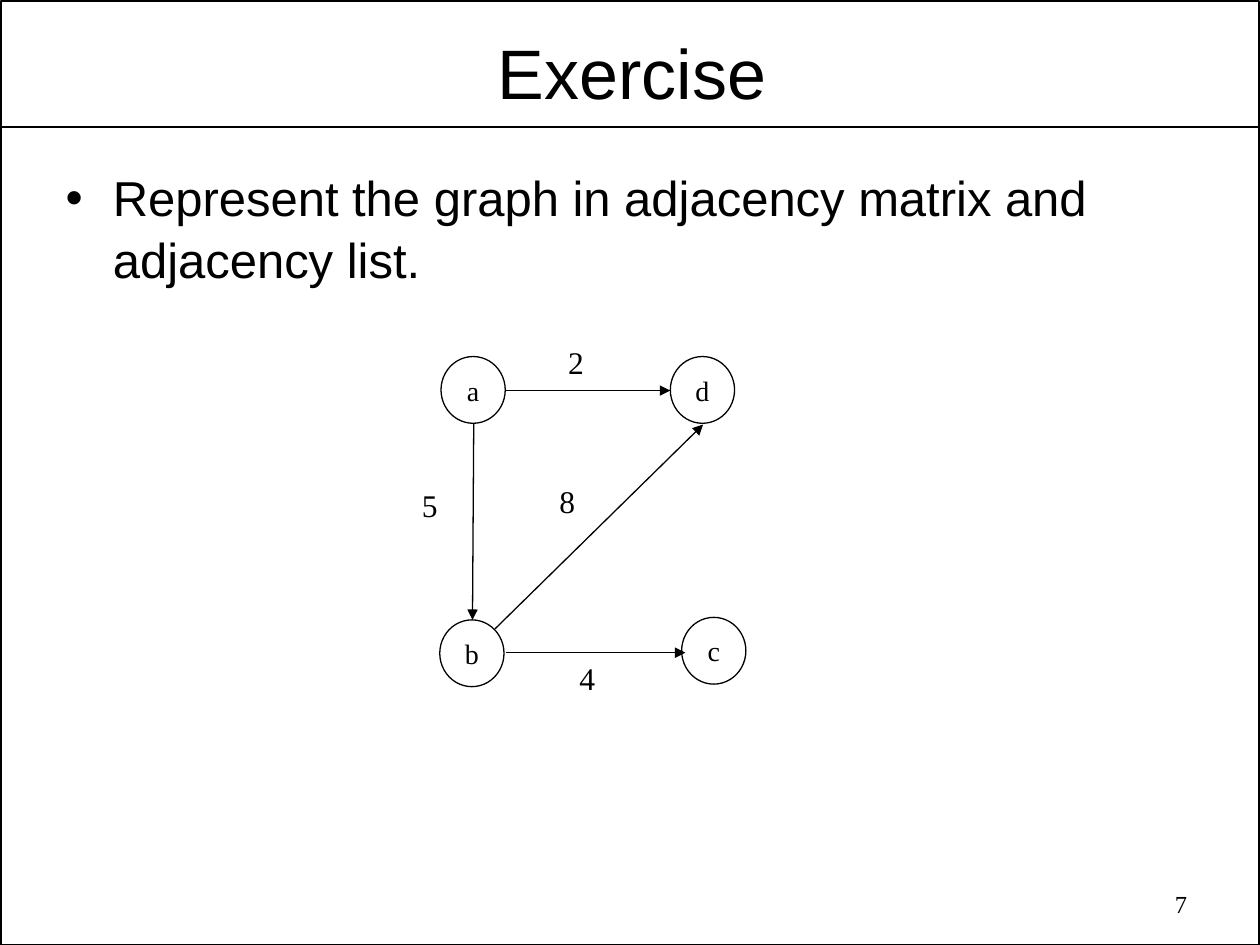
from lxml import etree
from pptx import Presentation
from pptx import util as u
from pptx.dml.color import RGBColor
from pptx.enum import shapes, text
from pptx.oxml import ns

COLORS = {"ink": "000000", "paper": "FFFFFF"}
SANS, SERIF = "Arial", "Times New Roman"
INK = RGBColor.from_string(COLORS["ink"])

NODE_W, NODE_H = 0.51, 0.53
# Node positions and edges are relative to the graph's box
NODES = {"a": (0.25, 0.16), "d": (2.07, 0.16), "b": (0.24, 2.25), "c": (2.16, 2.23)}
# weight, start, end, left and top of the weight label
EDGES = [
    ("5", (0.51, 0.69), (0.5, 2.25), (0, 1.14)),
    ("2", (0.76, 0.43), (2.07, 0.43), (1.16, 0)),
    ("8", (0.68, 2.32), (2.33, 0.7), (1.09, 1.11)),
    ("4", (0.77, 2.51), (2.19, 2.51), (1.25, 2.51)),
]


def place(s, x, y, w, h):
    box = {"left": x, "top": y, "width": w, "height": h}
    for name, value in box.items():
        setattr(s, name, u.Inches(value))


def write(s, words, size, font, align, wrap=True, anchor=text.MSO_ANCHOR.TOP,
          margins=(0.1, 0.05), spacing=1.0):
    tf = s.text_frame
    mx, my = (u.Inches(m) for m in margins)
    frame = {"word_wrap": wrap, "auto_size": text.MSO_AUTO_SIZE.NONE,
             "vertical_anchor": anchor, "margin_left": mx, "margin_right": mx,
             "margin_top": my, "margin_bottom": my}
    for name, value in frame.items():
        setattr(tf, name, value)
    p = tf.paragraphs[0]
    p.alignment, p.line_spacing, p.space_before = align, spacing, u.Pt(0)
    r = p.add_run()
    r.text = words
    r.font.size, r.font.name = u.Pt(size), font
    r.font.color.rgb = INK


def add_outline(slide, kind, x, y, w, h, weight):
    s = slide.shapes.add_shape(kind, *(u.Inches(v) for v in (x, y, w, h)))
    s.shadow.inherit = False
    s.fill.background()
    s.line.color.rgb, s.line.width = INK, u.Pt(weight)
    return s


def add_line(slide, start, end, weight, arrow=False):
    ends = (u.Inches(v) for v in (*start, *end))
    s = slide.shapes.add_connector(shapes.MSO_CONNECTOR.STRAIGHT, *ends)
    s.line.color.rgb, s.line.width = INK, u.Pt(weight)
    if arrow:
        etree.SubElement(s.line._get_or_add_ln(), ns.qn("a:tailEnd"), type="triangle")
    etree.SubElement(s._element.spPr, ns.qn("a:effectLst"))


def add_label(slide, words, size, x, y, w, h, align):
    s = slide.shapes.add_textbox(*(u.Inches(v) for v in (x, y, w, h)))
    write(s, words, size, SERIF, align)


def build_frame(slide, x, y, w, h):
    add_outline(slide, shapes.MSO_SHAPE.RECTANGLE, x, y, w, h, 1)
    add_line(slide, (x, y + 1), (x + w, y + 1), 1)


def build_title(slide, x, y, w, h):
    s = slide.shapes.title
    place(s, x, y, w, h)
    write(s, "Exercise", 40, SANS, text.PP_ALIGN.CENTER,
          anchor=text.MSO_ANCHOR.MIDDLE, margins=(0.07, 0.03), spacing=1.05)


def build_body(slide, x, y, w, h):
    s = slide.placeholders[1]
    place(s, x, y, w, h)
    write(s, "Represent the graph in adjacency matrix and adjacency list.",
          28, SANS, text.PP_ALIGN.LEFT, spacing=1.05)


def build_graph(slide, x, y):
    # Nodes
    for name, (dx, dy) in NODES.items():
        s = add_outline(slide, shapes.MSO_SHAPE.OVAL, x + dx, y + dy, NODE_W, NODE_H, 0.75)
        write(s, name, 16, SERIF, text.PP_ALIGN.CENTER, wrap=False,
              anchor=text.MSO_ANCHOR.MIDDLE, margins=(0, 0))
    # Weighted edges
    for weight, (x1, y1), (x2, y2), (dx, dy) in EDGES:
        add_line(slide, (x + x1, y + y1), (x + x2, y + y2), 0.75, arrow=True)
        add_label(slide, weight, 18, x + dx, y + dy, 0.32, 0.4, text.PP_ALIGN.LEFT)


def main():
    prs = Presentation()
    prs.slide_width, prs.slide_height = u.Inches(10), u.Inches(7.5)
    slide = prs.slides.add_slide(prs.slide_layouts[1])
    fill = slide.background.fill
    fill.solid()
    fill.fore_color.rgb = RGBColor.from_string(COLORS["paper"])

    build_frame(slide, 0.01, 0.01, 9.98, 7.49)
    build_title(slide, 0.53, 0.19, 8.97, 0.72)
    build_body(slide, 0.42, 1.26, 9.17, 1.2)
    build_graph(slide, 3.25, 2.67)
    # Page number
    add_label(slide, "7", 14, 7.18, 7.01, 2.34, 0.36, text.PP_ALIGN.RIGHT)
    prs.save("out.pptx")


if __name__ == "__main__":
    main()
